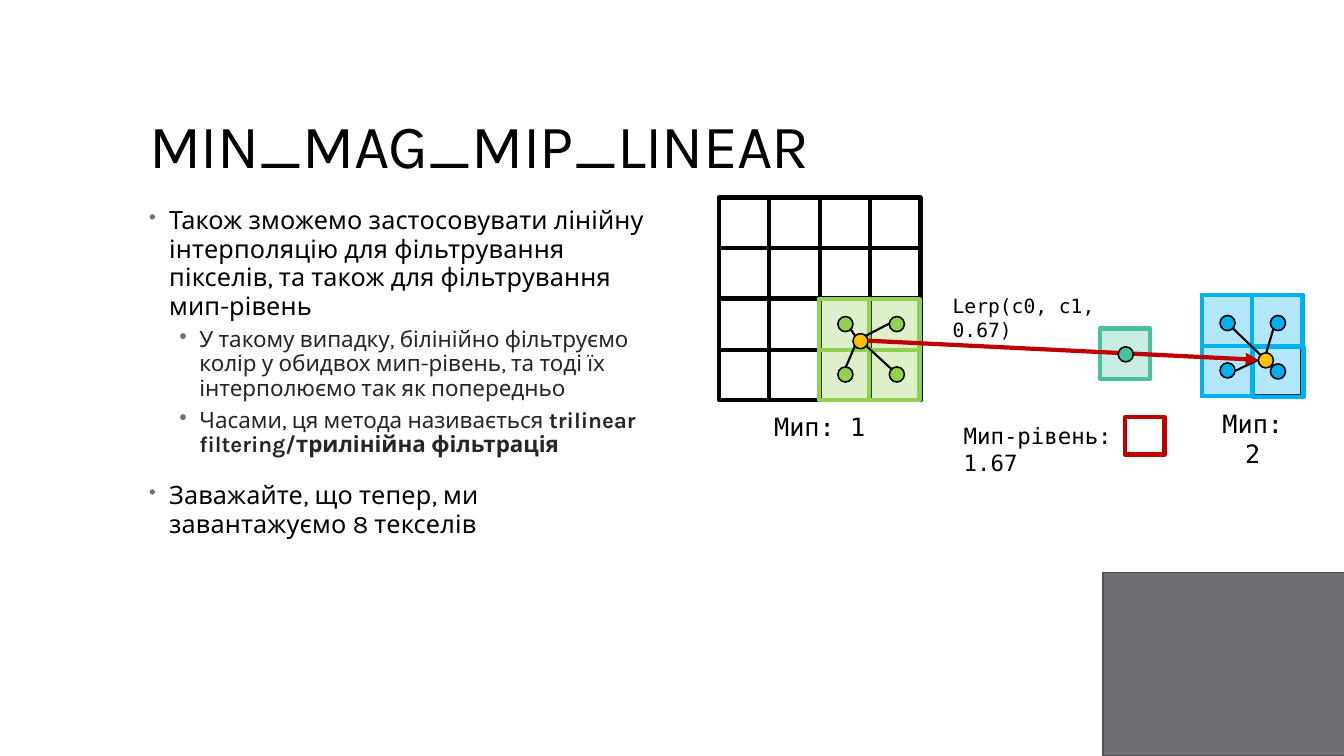
from lxml.etree import SubElement
from pptx import Presentation
from pptx.dml.color import RGBColor
from pptx.enum.shapes import MSO_CONNECTOR, MSO_SHAPE
from pptx.enum.text import MSO_ANCHOR, PP_ALIGN
from pptx.oxml.ns import qn
from pptx.util import Pt

PX = 9144  # 100 px to the inch
COLORS = {
    "black": "000000", "dark": "262626", "gray": "6F6F74", "edge": "525256",
    "red": "C00000", "green": "92D050", "blue": "00B0F0", "teal": "49C0A0",
    "yellow": "FFC000",
}
MONO = "DejaVu Sans Mono"

presentation = Presentation()
presentation.slide_width = 1333 * PX
presentation.slide_height = 750 * PX
slide = presentation.slides.add_slide(presentation.slide_layouts[6])


def add_text(text, paragraph, *, size, font="Karla", color="black", bold=False, spacing=0):
    run = paragraph.add_run()
    run.text = text
    run.font.size = Pt(size)
    run.font.name = font
    run.font.bold = bold
    run.font.color.rgb = RGBColor.from_string(COLORS[color])
    run.font._element.set("spc", str(spacing))


def add_figure(kind, left, top, width, height, *, line, weight=3, fill=None, alpha=None):
    shape = slide.shapes.add_shape(kind, left * PX, top * PX, width * PX, height * PX)
    shape.shadow.inherit = False
    shape.line.color.rgb = RGBColor.from_string(COLORS[line])
    shape.line.width = Pt(weight)
    if fill is None:
        shape.fill.background()
        return
    shape.fill.solid()
    shape.fill.fore_color.rgb = RGBColor.from_string(COLORS[fill])
    if alpha:
        fill_color = shape._element.spPr.find(qn("a:solidFill"))[0]
        SubElement(fill_color, qn("a:alpha"), val=str(alpha * 1000))


# Corner block
add_figure(MSO_SHAPE.RECTANGLE, 1094, 568, 240, 182, line="edge", weight=1.1, fill="gray")

# Title
title = slide.shapes.add_textbox(138 * PX, 40 * PX, 1060 * PX, 145 * PX).text_frame
title.word_wrap = True
title.vertical_anchor = MSO_ANCHOR.BOTTOM
title.paragraphs[0].line_spacing = 0.9
add_text("MIN_MAG_MIP_LINEAR", title.paragraphs[0], size=44, spacing=-50)

# Bulleted text: level, then pieces of text with their boldness
bullets = [
    (0, [("Також зможемо застосовувати лінійну інтерполяцію для фільтрування "
          "пікселів, та також для фільтрування мип-рівень", False)]),
    (1, [("У такому випадку, білінійно фільтруємо колір у обидвох мип-рівень, "
          "та тоді їх інтерполюємо так як попередньо", False)]),
    (1, [("Часами, ця метода називається ", False),
         ("trilinear filtering/трилінійна фільтрація", True)]),
    (0, [("Заважайте, що тепер, ми завантажуємо 8 текселів", False)]),
]
body = slide.shapes.add_textbox(138 * PX, 200 * PX, 524 * PX, 476 * PX).text_frame
body.word_wrap = True
for index, (level, pieces) in enumerate(bullets):
    paragraph = body.add_paragraph() if index else body.paragraphs[0]
    properties = paragraph._p.get_or_add_pPr()
    properties.set("marL", str((50 if level else 20) * PX))
    properties.set("indent", str(-20 * PX))
    bullet_color = SubElement(properties, qn("a:buClr"))
    SubElement(bullet_color, qn("a:srgbClr"), val=COLORS["gray"])
    SubElement(properties, qn("a:buSzPct"), val="100000" if level else "80000")
    SubElement(properties, qn("a:buChar"), char="•")
    paragraph.level = level
    paragraph.line_spacing = 0.9 if level else 0.95
    if index:
        paragraph.space_before = Pt(3 if level else 14)
    paragraph.space_after = Pt(3 if level else 2)
    for text, bold in pieces:
        add_text(text, paragraph, size=16 if level else 18, bold=bold,
                 color="dark" if level else "black", spacing=0 if level else 10)

# Diagram labels
for text, left, top, width, height, size, align in [
    ("Мип-рівень: 1.67", 946, 414, 222, 37, 16, PP_ALIGN.LEFT),
    ("Мип: 1", 713, 403, 200, 40, 18, PP_ALIGN.CENTER),
    ("Мип: 2", 1189, 400, 107, 40, 18, PP_ALIGN.CENTER),
    ("Lerp(c0, c1, 0.67)", 935, 287, 218, 34, 14, PP_ALIGN.LEFT),
]:
    label = slide.shapes.add_textbox(left * PX, top * PX, width * PX, height * PX).text_frame
    label.word_wrap = True
    label.paragraphs[0].alignment = align
    add_text(text, label.paragraphs[0], size=size, font=MONO)

# Mip level marker
add_figure(MSO_SHAPE.RECTANGLE, 1116, 414, 39, 37, line="red")

# Texel grids of both mip levels
CELL = 50
for left, top, count in [(713, 196, 4), (1192, 293, 2)]:
    for row in range(count):
        for column in range(count):
            if (row, column) != (2, 2):
                add_figure(MSO_SHAPE.RECTANGLE, left + column * CELL, top + row * 101 // 2,
                           CELL, CELL, line="black")

# Sampled texels
for color, cells in [
    ("green", [(862, 297), (862, 347), (812, 297), (812, 347)]),
    ("blue", [(1243, 344), (1242, 293), (1192, 293), (1192, 343)]),
    ("teal", [(1091, 326)]),
]:
    for left, top in cells:
        add_figure(MSO_SHAPE.RECTANGLE, left, top, CELL, CELL, line=color, fill=color, alpha=30)

# Texel centres and sample points
DOT = 15
for color, dots in [
    ("green", [(882, 314), (882, 364), (831, 314), (831, 364)]),
    ("blue", [(1260, 361), (1260, 313), (1210, 360), (1210, 313)]),
    ("yellow", [(846, 331), (1248, 350)]),
]:
    for left, top in dots:
        add_figure(MSO_SHAPE.OVAL, left, top, DOT, DOT, line="black", weight=1.1, fill=color)

# Links from sample points to texel centres, then the arrow between mip levels
links = [
    (844, 327, 848, 333), (848, 343, 839, 364), (859, 343, 884, 366), (859, 333, 882, 321),
    (1256, 350, 1263, 326), (1250, 352, 1223, 326), (1248, 357, 1225, 368),
    (1261, 363, 1263, 363),
]
arrow = (861, 338, 1248, 357)
for ends in links + [arrow]:
    connector = slide.shapes.add_connector(MSO_CONNECTOR.STRAIGHT, *[end * PX for end in ends])
    connector.line.color.rgb = RGBColor.from_string(COLORS["red" if ends == arrow else "black"])
    connector.line.width = Pt(3 if ends == arrow else 1.5)
    if ends == arrow:
        SubElement(connector.line._get_or_add_ln(), qn("a:tailEnd"), type="triangle")
    SubElement(connector._element.spPr, qn("a:effectLst"))

# Interpolated sample
add_figure(MSO_SHAPE.OVAL, 1109, 344, DOT, DOT, line="black", weight=1.1, fill="teal")

presentation.save("out.pptx")
